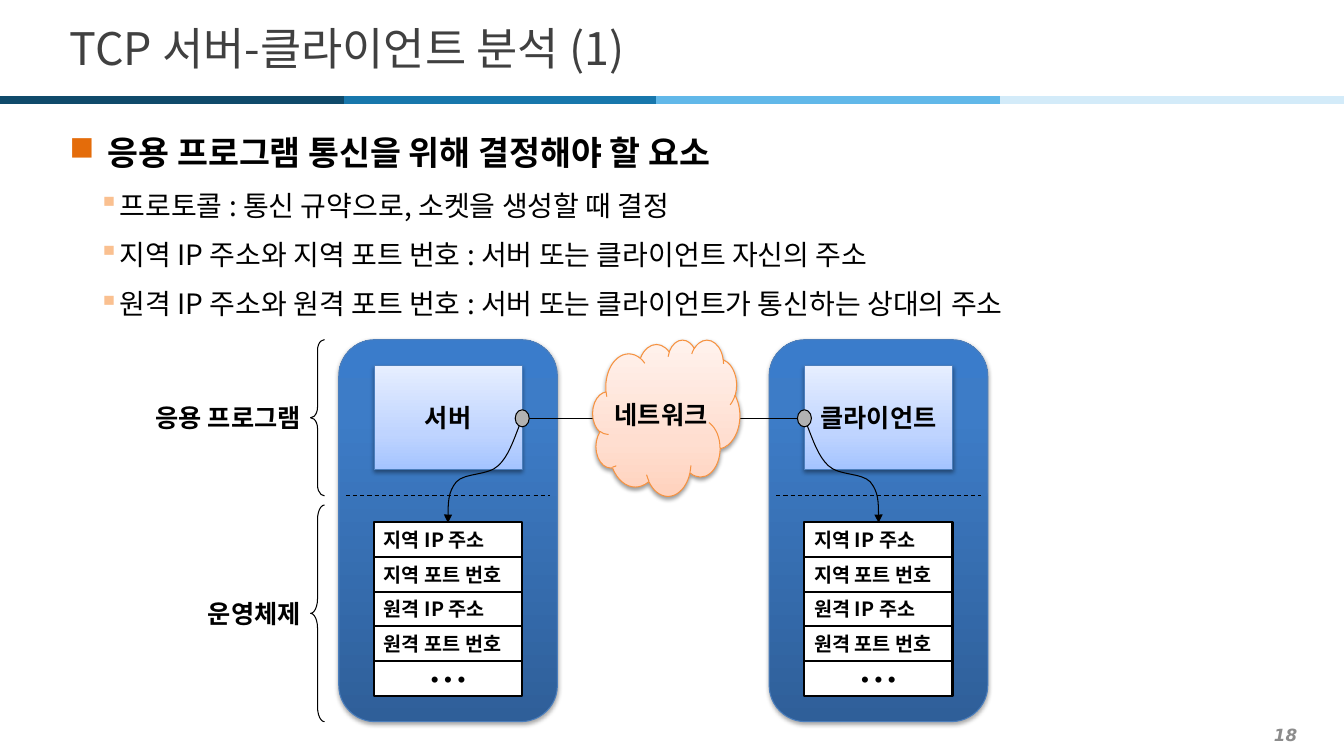
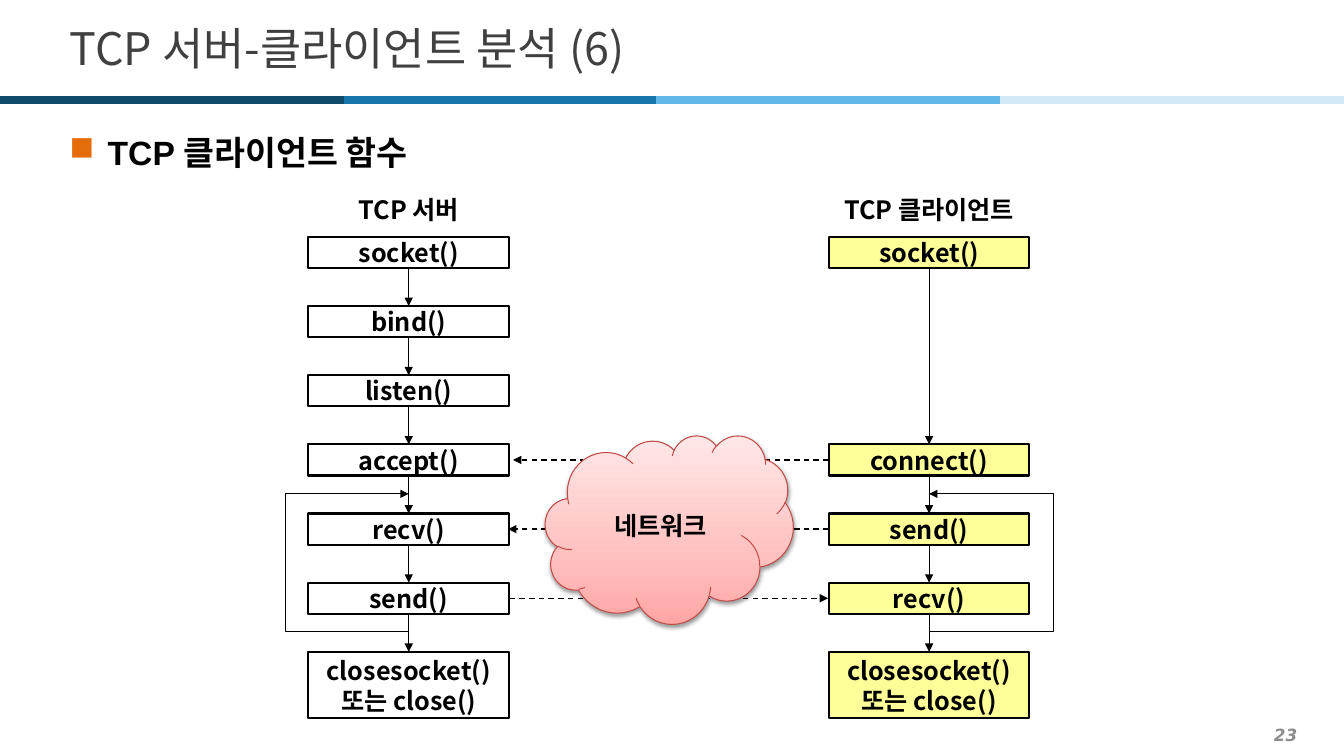
from lxml import etree
from pptx import Presentation
from pptx.dml.color import RGBColor
from pptx.enum import dml, shapes, text
from pptx.oxml.ns import qn
from pptx.util import Pt

BLACK = RGBColor(0x00, 0x00, 0x00)
WHITE = RGBColor(0xFF, 0xFF, 0xFF)
TITLE_GRAY = RGBColor(0x40, 0x40, 0x40)
PAGE_GRAY = RGBColor(0x8C, 0x8C, 0x8C)
NODE_GRAY = RGBColor(0xB2, 0xB2, 0xB2)
YELLOW = RGBColor(0xFF, 0xFF, 0x99)
BLUE_EDGE = RGBColor(0x4B, 0x7E, 0xBC)
ORANGE_EDGE = RGBColor(0xF6, 0x92, 0x40)
RED_EDGE = RGBColor(0xBF, 0x4C, 0x48)
ORANGE = RGBColor(0xE4, 0x6C, 0x0A)
PALE_ORANGE = RGBColor(0xFA, 0xC0, 0x90)
BANDS = [RGBColor(0x0F, 0x4A, 0x6B), RGBColor(0x18, 0x77, 0xAC),
         RGBColor(0x61, 0xB8, 0xE9), RGBColor(0xD3, 0xEB, 0xF9)]
BAND_EDGES = [0, 245.5, 468.7, 714.2, 960]

PANEL_BLUE = [(0, RGBColor(0x2F, 0x5F, 0x99)), (80, RGBColor(0x3D, 0x7C, 0xC7)),
              (100, RGBColor(0x3A, 0x7C, 0xCB))]
APP_BLUE = [(0, RGBColor(0xA4, 0xC4, 0xFF)), (35, RGBColor(0xBF, 0xD4, 0xFF)),
            (100, RGBColor(0xE6, 0xEE, 0xFF))]
CLOUD_ORANGE = [(0, RGBColor(0xFF, 0xD2, 0xBD)), (35, RGBColor(0xFF, 0xDE, 0xD0)),
                (100, RGBColor(0xFF, 0xF2, 0xED))]
CLOUD_RED = [(0, RGBColor(0xFF, 0xA6, 0xA5)), (35, RGBColor(0xFF, 0xC0, 0xBF)),
             (100, RGBColor(0xFF, 0xE7, 0xE7))]

KOREAN = "Noto Sans CJK KR"
KIND = shapes.MSO_SHAPE
STRAIGHT = shapes.MSO_CONNECTOR.STRAIGHT
LEFT, CENTER, RIGHT = text.PP_ALIGN.LEFT, text.PP_ALIGN.CENTER, text.PP_ALIGN.RIGHT
MIDDLE, TOP = text.MSO_ANCHOR.MIDDLE, text.MSO_ANCHOR.TOP


def write(item, words, size=18, font=KOREAN, color=BLACK, bold=True, italic=False,
          align=CENTER, anchor=MIDDLE, wrap=False, bullet=None, bullet_color=None,
          margin=0, hang=0, spacing=None, before=None, after=None):
    frame = item.text_frame
    frame.word_wrap = wrap
    frame.vertical_anchor = anchor
    for line in words.split("\n"):
        paragraph = frame.add_paragraph() if frame.text else frame.paragraphs[0]
        paragraph.alignment = align
        paragraph.line_spacing = spacing
        paragraph.space_before = before
        paragraph.space_after = after
        run = paragraph.add_run()
        run.text = line
        run.font.name, run.font.size = font, Pt(size)
        run.font.bold, run.font.italic = bold, italic
        run.font.color.rgb = color
        etree.SubElement(run.font._element, qn("a:ea"), typeface=KOREAN)
        if bullet:
            props = paragraph._p.get_or_add_pPr()
            props.set("marL", str(Pt(margin)))
            props.set("indent", str(-Pt(hang)))
            tint = etree.SubElement(props, qn("a:buClr"))
            etree.SubElement(tint, qn("a:srgbClr"), val=str(bullet_color))
            etree.SubElement(props, qn("a:buChar"), char=bullet)


def finish(item, fill=None, line=BLACK, weight=0.75, dashed=False, arrow=False, shadow=0):
    props = item._element.spPr
    if isinstance(fill, list):
        item.fill.gradient()
        item.fill.gradient_angle = 90
        stops = props.find(".//" + qn("a:gsLst"))
        stops.clear()
        for position, color in fill:
            stop = etree.SubElement(stops, qn("a:gs"), pos=str(position * 1000))
            etree.SubElement(stop, qn("a:srgbClr"), val=str(color))
    elif fill is not None:
        item.fill.solid()
        item.fill.fore_color.rgb = fill
    elif hasattr(item, "fill"):
        item.fill.background()
    item.line.color.rgb = line
    item.line.width = Pt(weight)
    if dashed:
        item.line.dash_style = dml.MSO_LINE.DASH
    if arrow:
        etree.SubElement(props.find(qn("a:ln")), qn("a:tailEnd"), type="triangle")
    effects = etree.SubElement(props, qn("a:effectLst"))
    if shadow:
        outer = etree.SubElement(effects, qn("a:outerShdw"), blurRad=str(Pt(3.1)),
                                 dist=str(Pt(1.6)), dir="5400000", rotWithShape="0")
        tint = etree.SubElement(outer, qn("a:srgbClr"), val="000000")
        etree.SubElement(tint, qn("a:alpha"), val=str(shadow * 1000))
    return item


deck = Presentation()
deck.slide_width, deck.slide_height = Pt(960), Pt(540)

pages = []
for number, title, heading, points in [
    ("18", "TCP 서버-클라이언트 분석 (1)", "응용 프로그램 통신을 위해 결정해야 할 요소",
     ["프로토콜 : 통신 규약으로, 소켓을 생성할 때 결정",
      "지역 IP 주소와 지역 포트 번호 : 서버 또는 클라이언트 자신의 주소",
      "원격 IP 주소와 원격 포트 번호 : 서버 또는 클라이언트가 통신하는 상대의 주소"]),
    ("23", "TCP 서버-클라이언트 분석 (6)", "TCP 클라이언트 함수", []),
]:
    page = deck.slides.add_slide(deck.slide_layouts[6]).shapes
    pages.append(page)
    write(page.add_textbox(Pt(14.4), Pt(514), Pt(919.4), Pt(22.3)), number, size=12,
          font="DejaVu Sans", color=PAGE_GRAY, italic=True, align=RIGHT, wrap=True)
    for color, start, end in zip(BANDS, BAND_EDGES, BAND_EDGES[1:]):
        finish(page.add_connector(STRAIGHT, Pt(start), Pt(71.5), Pt(end), Pt(71.5)),
               line=color, weight=6)
    write(page.add_textbox(Pt(42.5), Pt(9.4), Pt(879), Pt(49)), title, size=32,
          color=TITLE_GRAY, bold=False, align=LEFT, wrap=True)
    body = page.add_textbox(Pt(42.5), Pt(85), Pt(882.7), Pt(434))
    write(body, heading, size=24, font="Arial", align=LEFT, anchor=TOP, wrap=True,
          bullet="■", bullet_color=ORANGE, margin=27.4, hang=27.4, spacing=1.2, after=Pt(2))
    for point in points:
        write(body, point, size=20, bold=False, align=LEFT, anchor=TOP, wrap=True,
              bullet="▪", bullet_color=PALE_ORANGE, margin=35.3, hang=14.4,
              spacing=1.3, before=Pt(2), after=Pt(2))

address_page, function_page = pages

PANEL_TOP, PANEL_WIDTH = 242.6, 156.2
APP_INSET, APP_WIDTH = 25.2, 105.8
ROW_TOP, ROW_HEIGHT = 373, 24.8
LINK_Y = 298.8
SOCKET_FIELDS = ["지역 IP 주소", "지역 포트 번호", "원격 IP 주소", "원격 포트 번호"]
CURVE = [(2, 304), (6.5, 315.5), (10, 326), (17, 332.6), (24.5, 339.8), (41, 337.7),
         (47, 344.2), (53, 351.4), (53, 362.2), (53, 373.5)]

finish(address_page.add_connector(STRAIGHT, Pt(373), Pt(LINK_Y), Pt(574.6), Pt(LINK_Y)))
for host, panel_left, node_x, inward in [("서버", 242, 373, -1), ("클라이언트", 549.4, 574.6, 1)]:
    app_left = panel_left + APP_INSET
    panel = address_page.add_shape(KIND.ROUNDED_RECTANGLE, Pt(panel_left), Pt(PANEL_TOP),
                                   Pt(PANEL_WIDTH), Pt(272.9))
    finish(panel, PANEL_BLUE, BLUE_EDGE, shadow=35)
    app = address_page.add_shape(KIND.RECTANGLE, Pt(app_left), Pt(261.4), Pt(APP_WIDTH), Pt(74.2))
    write(finish(app, APP_BLUE, BLUE_EDGE, shadow=38), host)
    finish(address_page.add_connector(STRAIGHT, Pt(panel_left + 5), Pt(354.3),
                                      Pt(panel_left + PANEL_WIDTH - 5), Pt(354.3)), dashed=True)
    for row, field in enumerate(SOCKET_FIELDS + ["• • •"]):
        cell = address_page.add_shape(KIND.RECTANGLE, Pt(app_left), Pt(ROW_TOP + row * ROW_HEIGHT),
                                      Pt(APP_WIDTH), Pt(ROW_HEIGHT))
        finish(cell, WHITE, weight=1.5)
        if field in SOCKET_FIELDS:
            write(cell, field, size=14, align=LEFT)
        else:
            write(cell, field, size=16, font="Times New Roman")
    gap_edge = node_x - inward * 50
    finish(address_page.add_connector(STRAIGHT, Pt(node_x), Pt(LINK_Y), Pt(gap_edge), Pt(LINK_Y)))
    node = address_page.add_shape(KIND.OVAL, Pt(node_x - 5), Pt(LINK_Y - 6.1), Pt(10), Pt(12.2))
    finish(node, NODE_GRAY)
    start, *controls = [(Pt(node_x + inward * dx), Pt(y)) for dx, y in CURVE]
    builder = address_page.build_freeform(*start)
    builder.add_line_segments(controls, close=False)
    curve = builder.convert_to_shape()
    outline = curve._element.spPr.find(".//" + qn("a:path"))
    segments = outline.findall(qn("a:lnTo"))
    for first in range(0, len(segments), 3):
        bend = etree.SubElement(outline, qn("a:cubicBezTo"))
        for segment in segments[first:first + 3]:
            bend.append(segment[0])
            outline.remove(segment)
    finish(curve, arrow=True)

for layer, top, height, depth in [("응용 프로그램", PANEL_TOP, 111.6, 0.75),
                                  ("운영체제", 360.7, 154.8, 1.04)]:
    brace = address_page.add_shape(KIND.LEFT_BRACE, Pt(221.8), Pt(top), Pt(10), Pt(height))
    brace.adjustments[0] = depth
    finish(brace)
    write(address_page.add_textbox(Pt(82), Pt(top + height / 2 - 12), Pt(139.8), Pt(24)),
          layer, align=RIGHT, wrap=True)

FLOW_TOP, STEP, BOX_WIDTH, BOX_HEIGHT = 169.2, 49.4, 143.3, 22.3
CLOSING = "closesocket()\n또는 close()"
SERVER_STEPS = enumerate(["socket()", "bind()", "listen()", "accept()", "recv()", "send()", CLOSING])
CLIENT_STEPS = [(0, "socket()"), (3, "connect()"), (4, "send()"), (5, "recv()"), (6, CLOSING)]

for caption, left, fill, loop_x, steps in [
    ("TCP 서버", 220.3, None, 203.8, SERVER_STEPS),
    ("TCP 클라이언트", 592, YELLOW, 752.4, CLIENT_STEPS),
]:
    middle = left + BOX_WIDTH / 2
    write(function_page.add_textbox(Pt(left), Pt(138.2), Pt(BOX_WIDTH), Pt(BOX_HEIGHT)), caption)
    bottom = None
    for row, call in steps:
        top = FLOW_TOP + row * STEP
        height = 47.5 if call == CLOSING else BOX_HEIGHT
        box = function_page.add_shape(KIND.RECTANGLE, Pt(left), Pt(top), Pt(BOX_WIDTH), Pt(height))
        write(finish(box, fill, weight=1.5), call)
        if bottom:
            finish(function_page.add_connector(STRAIGHT, Pt(middle), Pt(bottom), Pt(middle), Pt(top)),
                   arrow=True)
        bottom = top + height
    builder = function_page.build_freeform(Pt(middle), Pt(451.4))
    builder.add_line_segments([(Pt(loop_x), Pt(451.4)), (Pt(loop_x), Pt(352.8)),
                               (Pt(middle), Pt(352.8))], close=False)
    finish(builder.convert_to_shape(), arrow=True)

for row, start, end in [(3, 592, 366.5), (4, 592, 363), (5, 364, 591.5)]:
    y = FLOW_TOP + row * STEP + BOX_HEIGHT / 2
    finish(function_page.add_connector(STRAIGHT, Pt(start), Pt(y), Pt(end), Pt(y)),
           weight=1, dashed=True, arrow=True)

for page, left, top, width, height, fill, edge in [
    (address_page, 423.4, PANEL_TOP, 105.1, 111.6, CLOUD_ORANGE, ORANGE_EDGE),
    (function_page, 389.5, 311, 177.1, 134.6, CLOUD_RED, RED_EDGE),
]:
    cloud = page.add_shape(KIND.CLOUD, Pt(left), Pt(top), Pt(width), Pt(height))
    write(finish(cloud, fill, edge, shadow=38), "네트워크")

deck.save("out.pptx")
